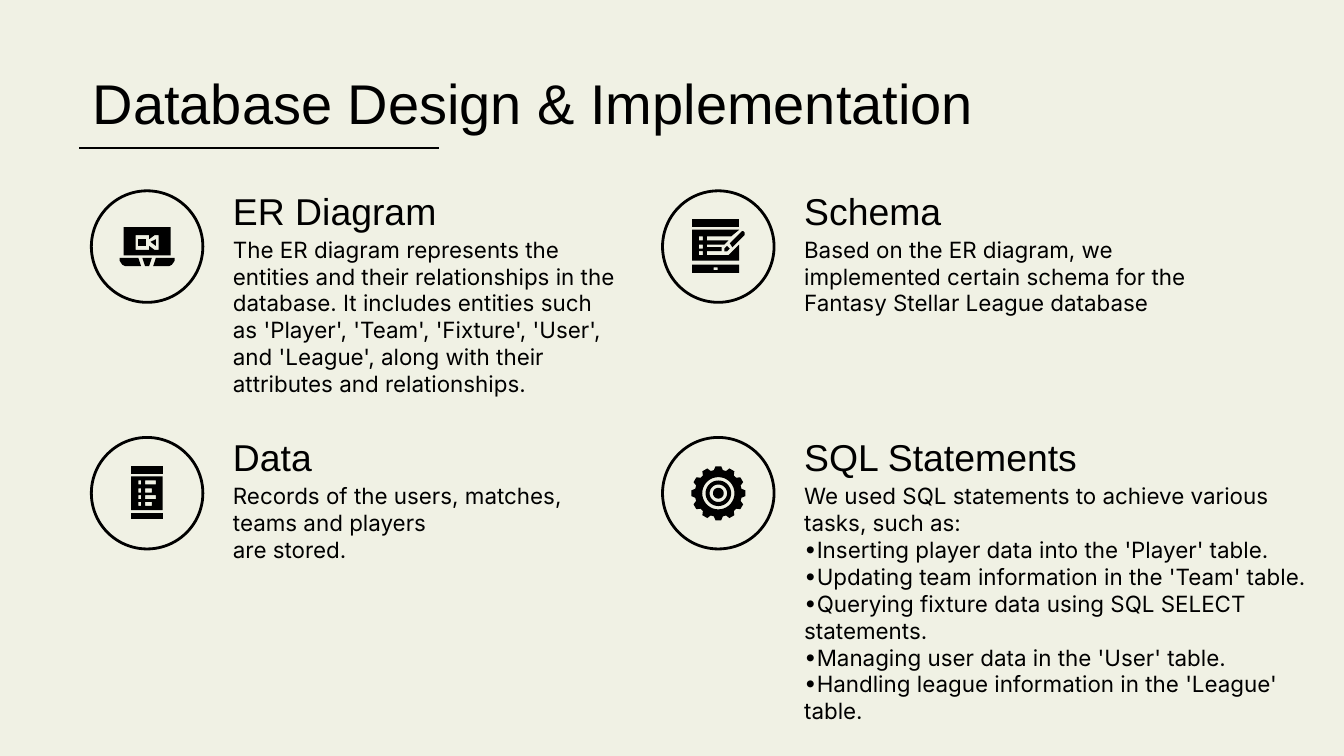
from dataclasses import dataclass
from math import cos, radians, sin

from lxml.etree import SubElement
from pptx import Presentation
from pptx.dml.color import RGBColor
from pptx.enum.shapes import MSO_CONNECTOR as Connector, MSO_SHAPE as Preset
from pptx.enum.text import MSO_ANCHOR as Anchor, MSO_AUTO_SIZE as AutoSize, PP_ALIGN as Align
from pptx.oxml.ns import qn
from pptx.util import Emu, Pt

PX = 4572  # EMU in one px, 200 px to the inch

Point = tuple[float, float]
Contour = list[Point]
Part = list[Contour]  # outline plus holes


@dataclass(frozen=True)
class Theme:
    background: RGBColor = RGBColor(0xF0, 0xF1, 0xE4)
    ink: RGBColor = RGBColor(0, 0, 0)
    heading_font: str = "Arial"
    body_font: str = "Inter"
    title_size: int = 30
    heading_size: int = 20
    body_size: int = 12
    badge_line: float = 1.5
    rule_line: float = 0.75


@dataclass(frozen=True)
class Topic:
    column: int
    row: int
    heading: str
    body: list[str]
    icon: list[Part]
    body_width: int = 614


THEME = Theme()
COLUMNS, ROWS = (136, 986), (284, 651)
BADGE, INSET = 166, 20
TEXT_OFFSET, BODY_OFFSET = 191, 47
ICON_UNIT = 2  # px in one step of the icon grid
ICON_CENTER = BADGE / ICON_UNIT / 2


def px(value: float) -> Emu:
    return Emu(round(value * PX))


def apply(target, values: dict) -> None:
    for name, value in values.items():
        setattr(target, name, value)


# Icon geometry, in grid steps from the top left of its badge
def box(left: float, top: float, right: float, bottom: float) -> Contour:
    return [(left, top), (left, bottom), (right, bottom), (right, top)]


def polar(radius: float, degrees: float) -> Point:
    angle = radians(degrees)
    return ICON_CENTER + radius * sin(angle), ICON_CENTER - radius * cos(angle)


def circle(radius: float) -> Contour:
    return [polar(radius, degrees) for degrees in range(0, 360, 10)]


def gear_rim() -> Contour:
    tooth = ((-11, 17.5), (-6, 20.2), (6, 20.2), (11, 17.5))
    return [polar(radius, step + offset) for step in range(0, 360, 30) for offset, radius in tooth]


LAPTOP = [
    [box(24, 27, 59, 48), [(50, 33), (50, 44), (47, 44), (43, 41), (43, 44),
                           (33, 44), (33, 33), (43, 33), (43, 36), (47, 33)]],
    [box(35, 36, 41, 41)],
    [[(48, 36), (44, 38), (48, 41)]],
    [[(38, 50), (40, 56), (43, 56), (45, 50)]],
    [[(48, 50), (46, 56), (58, 56), (60, 55), (62, 52), (62, 50)]],
    [[(21, 50), (21, 52), (23, 55), (25, 56), (37, 56), (35, 50)]],
]
TABLET = [
    [[(59, 30), (50, 39), (52, 42), (61, 33), (61, 31), (60, 30)]],
    [[(48, 41), (46, 43), (46, 45), (48, 45), (50, 43)]],
    [[(22, 29), (22, 52), (57, 52), (57, 40), (49, 48), (33, 48), (33, 45), (44, 45), (44, 42),
      (33, 42), (33, 40), (46, 40), (49, 37), (33, 37), (33, 34), (51, 34), (57, 29)],
     *(box(27, top, 30, top + 3) for top in (34, 40, 45))],
    [box(22, 21, 57, 27)],
    [box(22, 55, 57, 61), box(38, 57, 41, 59)],
]
RECORDS = [
    [box(29.5, 29, 53, 54),
     *(box(35, top, 37, top + 3) for top in (32, 38, 43, 48)),
     *(box(40, top, right, top + 3) for top, right in ((32, 48), (38, 45), (43, 48), (48, 45)))],
    [box(29.5, 21, 53, 27)],
    [box(29.5, 56, 53, 61)],
]
GEAR = [[gear_rim(), circle(12)], [circle(9.5), circle(6.5)], [circle(4)]]

TOPICS = [
    Topic(0, 0, "ER Diagram", [
        "The ER diagram represents the entities and their relationships in the database. "
        "It includes entities such as 'Player', 'Team', 'Fixture', 'User', and 'League', "
        "along with their attributes and relationships."], LAPTOP),
    Topic(1, 0, "Schema", [
        "Based on the ER diagram, we implemented certain schema for the "
        "Fantasy Stellar League database"], TABLET),
    Topic(0, 1, "Data", [
        "Records of the users, matches, teams and players", "are stored."], RECORDS),
    Topic(1, 1, "SQL Statements", [
        "We used SQL statements to achieve various tasks, such as:",
        "•Inserting player data into the 'Player' table.",
        "•Updating team information in the 'Team' table.",
        "•Querying fixture data using SQL SELECT statements.",
        "•Managing user data in the 'User' table.",
        "•Handling league information in the 'League' table."], GEAR, 816),
]


def write(shape, lines: list[str], font: str, size: int, anchor=Anchor.TOP) -> None:
    frame = shape.text_frame
    frame.text = "\n".join(lines)
    apply(frame, {"word_wrap": True, "auto_size": AutoSize.NONE, "vertical_anchor": anchor,
                  **{f"margin_{side}": px(INSET) for side in ("left", "top", "right", "bottom")}})
    for paragraph in frame.paragraphs:
        paragraph.alignment = Align.LEFT
        apply(paragraph.font, {"name": font, "size": Pt(size)})
        paragraph.font.color.rgb = THEME.ink


def draw_badge(slide, left: int, top: int) -> None:
    badge = slide.shapes.add_shape(Preset.ROUNDED_RECTANGLE, px(left), px(top), px(BADGE), px(BADGE))
    badge.adjustments[0] = 0.5
    badge.shadow.inherit = False
    badge.fill.background()
    badge.line.color.rgb = THEME.ink
    badge.line.width = Pt(THEME.badge_line)


def draw_icon(slide, icon: list[Part], left: int, top: int) -> None:
    group = slide.shapes.add_group_shape()
    for part in icon:
        contours = [[(px(left + x * ICON_UNIT), px(top + y * ICON_UNIT)) for x, y in contour]
                    for contour in part]
        builder = group.shapes.build_freeform(*contours[0][0], scale=1.0)
        builder.add_line_segments(contours[0][1:], close=True)
        for hole in contours[1:]:
            builder.move_to(*hole[0])
            builder.add_line_segments(hole[1:], close=True)
        shape = builder.convert_to_shape()
        shape.shadow.inherit = False
        shape.fill.solid()
        shape.fill.fore_color.rgb = THEME.ink
        shape.line.fill.background()


def draw_topic(slide, topic: Topic) -> None:
    left, top = COLUMNS[topic.column], ROWS[topic.row]
    draw_badge(slide, left, top)
    draw_icon(slide, topic.icon, left, top)
    text_left = px(left + TEXT_OFFSET)
    heading = slide.shapes.add_textbox(text_left, px(top), px(614), px(82))
    write(heading, [topic.heading], THEME.heading_font, THEME.heading_size, Anchor.BOTTOM)
    body = slide.shapes.add_textbox(text_left, px(top + BODY_OFFSET), px(topic.body_width), px(208))
    write(body, topic.body, THEME.body_font, THEME.body_size)


def main() -> None:
    presentation = Presentation()
    apply(presentation, {"slide_width": px(2000), "slide_height": px(1125)})
    slide = presentation.slides.add_slide(presentation.slide_layouts[5])
    slide.background.fill.solid()
    slide.background.fill.fore_color.rgb = THEME.background

    # Title and its rule
    title = slide.shapes.title
    apply(title, {"left": px(118), "top": px(82), "width": px(1686), "height": px(126)})
    write(title, ["Database Design & Implementation"], THEME.heading_font, THEME.title_size)
    rule = slide.shapes.add_connector(Connector.STRAIGHT, px(653), px(220), px(118), px(220))
    rule.line.color.rgb = THEME.ink
    rule.line.width = Pt(THEME.rule_line)
    SubElement(rule._element.spPr, qn("a:effectLst"))

    # Topics in a two by two grid
    for topic in TOPICS:
        draw_topic(slide, topic)

    presentation.save("out.pptx")


if __name__ == "__main__":
    main()
